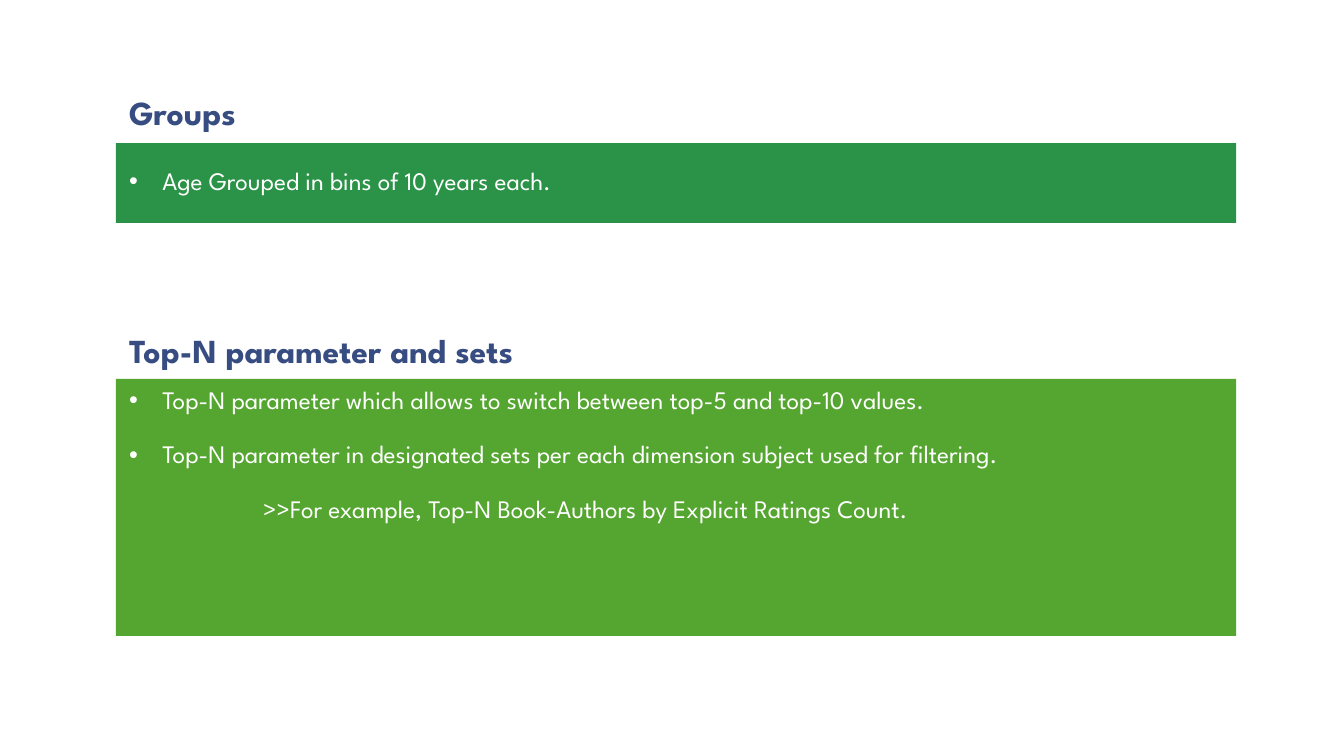
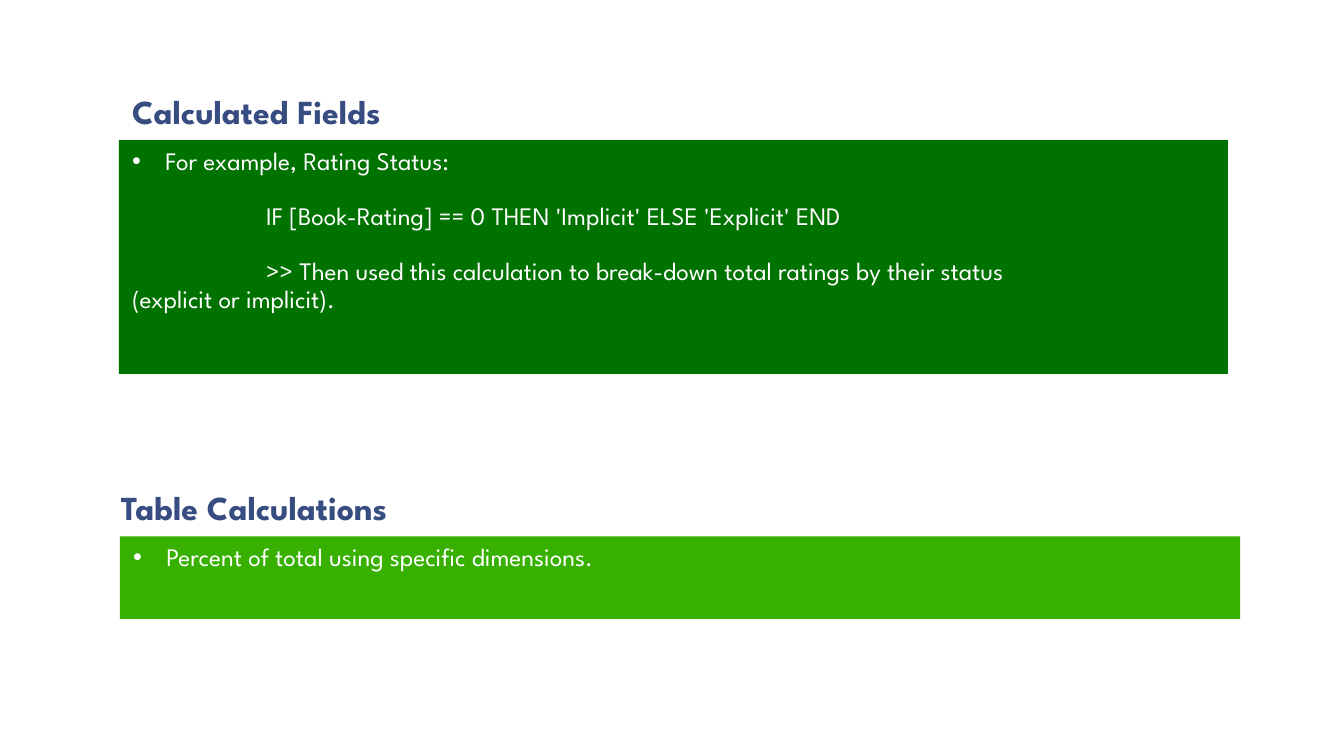
import pptx
import pptx.util
import pptx.dml.color
import pptx.enum.shapes
import pptx.enum.text
import pptx.oxml.ns
import lxml.etree

Inches, Pt = pptx.util.Inches, pptx.util.Pt

COLORS = {
    "heading": "374C81",
    "text": "FFFFFF",
    "sea": "2B9348",
    "leaf": "55A630",
    "forest": "007200",
    "lime": "38B000",
}
FONT = "League Spartan"
BULLET_INDENT = 0.33
FIRST_LINE_INDENT = 1.33
TIGHT, LOOSE = 0.95, 1.5

# Content: boxes are (left, top, width, height) in inches; lines are (style, text)
SLIDES = [
    [
        {"heading": "Groups", "heading_box": (1.15, 0.6, 11.11, 0.79),
         "panel_box": (1.15, 1.42, 11.11, 0.79), "fill": "sea", "spacing": LOOSE,
         "lines": [("bullet", "Age Grouped in bins of 10 years each.")]},
        {"heading": "Top-N parameter and sets", "heading_box": (1.15, 2.96, 11.11, 0.79),
         "panel_box": (1.15, 3.76, 11.11, 2.55), "fill": "leaf", "spacing": TIGHT,
         "lines": [
             ("bullet", "Top-N parameter which allows to switch between top-5 and top-10 values."),
             ("bullet", "Top-N parameter in designated sets per each dimension subject used for filtering."),
             ("detail", ">>For example, Top-N Book-Authors by Explicit Ratings Count."),
         ]},
    ],
    [
        {"heading": "Calculated Fields", "heading_box": (1.18, 0.59, 11, 0.79),
         "panel_box": (1.18, 1.39, 11, 2.32), "fill": "forest", "spacing": TIGHT,
         "lines": [
             ("bullet", "For example, Rating Status:"),
             ("detail", "IF [Book-Rating] == 0 THEN 'Implicit' ELSE 'Explicit' END"),
             ("detail", ">> Then used this calculation to break-down total ratings by their status\n"
                        "(explicit or implicit)."),
         ]},
        {"heading": "Table Calculations", "heading_box": (1.07, 4.49, 11.11, 0.82),
         "panel_box": (1.19, 5.32, 11.11, 0.82), "fill": "lime", "spacing": TIGHT,
         "lines": [("bullet", "Percent of total using specific dimensions.")]},
    ],
]


def rgb(name):
    return pptx.dml.color.RGBColor.from_string(COLORS[name])


def prepare_frame(shape, anchor):
    frame = shape.text_frame
    frame.word_wrap = True
    frame.auto_size = pptx.enum.text.MSO_AUTO_SIZE.NONE
    frame.vertical_anchor = anchor
    frame.margin_left = frame.margin_right = Inches(0.13)
    frame.margin_top = frame.margin_bottom = Inches(0.07)
    return frame


def write(para, text, size, color, spacing, bold=False):
    para.alignment = pptx.enum.text.PP_ALIGN.LEFT
    para.line_spacing = spacing
    for index, part in enumerate(text.split("\n")):
        if index:
            para.add_line_break()
        span = para.add_run()
        span.text = part
        span.font.name = FONT
        span.font.size = Pt(size)
        span.font.bold = bold
        span.font.color.rgb = rgb(color)


def indent(para, style):
    properties = para._p.get_or_add_pPr()
    if style == "bullet":
        left, first = BULLET_INDENT, -BULLET_INDENT
        font = lxml.etree.SubElement(properties, pptx.oxml.ns.qn("a:buFont"))
        font.set("typeface", "Arial")
        mark = lxml.etree.SubElement(properties, pptx.oxml.ns.qn("a:buChar"))
        mark.set("char", "•")
    else:
        left, first = 0, FIRST_LINE_INDENT
    properties.set("marL", str(Inches(left)))
    properties.set("indent", str(Inches(first)))


def add_heading(page, section, is_title):
    box = [Inches(value) for value in section["heading_box"]]
    if is_title:
        shape = page.shapes.title
        shape.left, shape.top, shape.width, shape.height = box
    else:
        shape = page.shapes.add_textbox(*box)
    frame = prepare_frame(shape, pptx.enum.text.MSO_ANCHOR.BOTTOM)
    write(frame.paragraphs[0], section["heading"], 24, "heading", TIGHT, bold=True)


def add_panel(page, section):
    box = [Inches(value) for value in section["panel_box"]]
    panel = page.shapes.add_shape(pptx.enum.shapes.MSO_SHAPE.RECTANGLE, *box)
    panel.shadow.inherit = False
    panel.fill.solid()
    panel.fill.fore_color.rgb = rgb(section["fill"])
    panel.line.fill.background()
    frame = prepare_frame(panel, pptx.enum.text.MSO_ANCHOR.TOP)
    for index, (style, text) in enumerate(section["lines"]):
        para = frame.add_paragraph() if index else frame.paragraphs[0]
        write(para, text, 18, "text", section["spacing"])
        para.space_before = Pt(18.7)
        indent(para, style)


def main():
    deck = pptx.Presentation()
    deck.slide_width, deck.slide_height = Inches(13.33), Inches(7.5)
    title_only = deck.slide_layouts[5]
    for sections in SLIDES:
        page = deck.slides.add_slide(title_only)
        for index, section in enumerate(sections):
            add_heading(page, section, is_title=index == 0)
            add_panel(page, section)
    deck.save("out.pptx")


if __name__ == "__main__":
    main()
